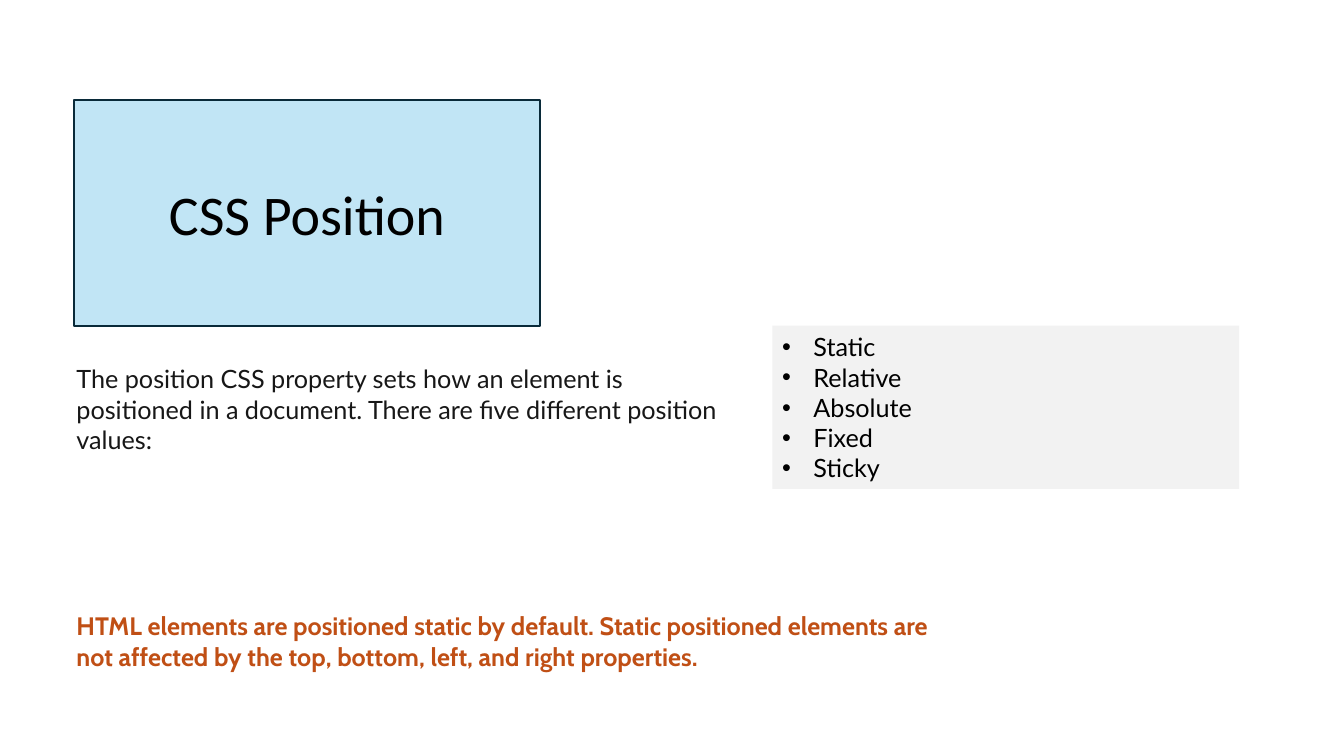
from lxml import etree
from pptx import Presentation
from pptx import util as u
from pptx.dml.color import RGBColor
from pptx.enum import shapes, text
from pptx.oxml.ns import qn

WIDTH, HEIGHT = u.Inches(13.33), u.Inches(7.5)
COLORS = {
    "sky": "C1E5F5",
    "navy": "092A39",
    "panel": "F2F2F2",
    "black": "000000",
    "ink": "171717",
    "rust": "C04F15",
}
POSITION_VALUES = ["Static", "Relative", "Absolute", "Fixed", "Sticky"]
INTRO = (
    "The position CSS property sets how an element is positioned in a document. "
    "There are five different position values:"
)
DEFAULT_RULE = (
    "HTML elements are positioned static by default. Static positioned elements "
    "are not affected by the top, bottom, left, and right properties."
)


def color(name):
    return RGBColor.from_string(COLORS[name])


def area(left, top, width, height):
    return (
        round(WIDTH * left / 100),
        round(HEIGHT * top / 100),
        round(WIDTH * width / 100),
        round(HEIGHT * height / 100),
    )


def fill_shape(shape, name):
    shape.fill.solid()
    shape.fill.fore_color.rgb = color(name)


def write(shape, content, font, size, ink, align, anchor, bold=False):
    frame = shape.text_frame
    frame.text = content
    frame.word_wrap = True
    frame.auto_size = text.MSO_AUTO_SIZE.NONE
    frame.vertical_anchor = anchor
    for paragraph in frame.paragraphs:
        paragraph.alignment = align
        for run in paragraph.runs:
            run.font.name = font
            run.font.size = u.Pt(size)
            run.font.bold = bold
            run.font.color.rgb = color(ink)


def add_bullet(paragraph):
    properties = paragraph._p.get_or_add_pPr()
    indent = u.Inches(0.31)
    properties.set("marL", str(indent))
    properties.set("indent", str(-indent))
    etree.SubElement(properties, qn("a:buFont")).set("typeface", "Arial")
    etree.SubElement(properties, qn("a:buChar")).set("char", "•")


def place_title(slide, place, content):
    title = slide.shapes.title
    title.left, title.top, title.width, title.height = place
    fill_shape(title, "sky")
    title.line.color.rgb = color("navy")
    title.line.width = u.Pt(1.5)
    write(title, content, "Calibri", 40, "black",
          text.PP_ALIGN.CENTER, text.MSO_ANCHOR.MIDDLE)


def add_bullet_panel(slide, place, items):
    panel = slide.shapes.add_shape(shapes.MSO_SHAPE.RECTANGLE, *place)
    panel.shadow.inherit = False
    fill_shape(panel, "panel")
    panel.line.fill.background()
    write(panel, "\n".join(items), "Lato", 18, "black",
          text.PP_ALIGN.LEFT, text.MSO_ANCHOR.MIDDLE)
    for paragraph in panel.text_frame.paragraphs:
        add_bullet(paragraph)


def add_statement(slide, place, content, font, ink, bold=False):
    statement = slide.shapes.add_textbox(*place)
    write(statement, content, font, 18, ink,
          text.PP_ALIGN.LEFT, text.MSO_ANCHOR.TOP, bold)


def main():
    deck = Presentation()
    deck.slide_width, deck.slide_height = WIDTH, HEIGHT
    slide = deck.slides.add_slide(deck.slide_layouts.get_by_name("Title Only"))
    place_title(slide, area(5.48, 13.2, 34.73, 29.87), "CSS Position")
    add_bullet_panel(slide, area(57.46, 43.07, 34.73, 21.6), POSITION_VALUES)
    add_statement(slide, area(4.95, 47.47, 50.04, 9.47), INTRO, "Lato", "ink")
    add_statement(slide, area(4.95, 80.13, 67.07, 9.47), DEFAULT_RULE,
                  "Cabin", "rust", bold=True)
    deck.save("out.pptx")


if __name__ == "__main__":
    main()
